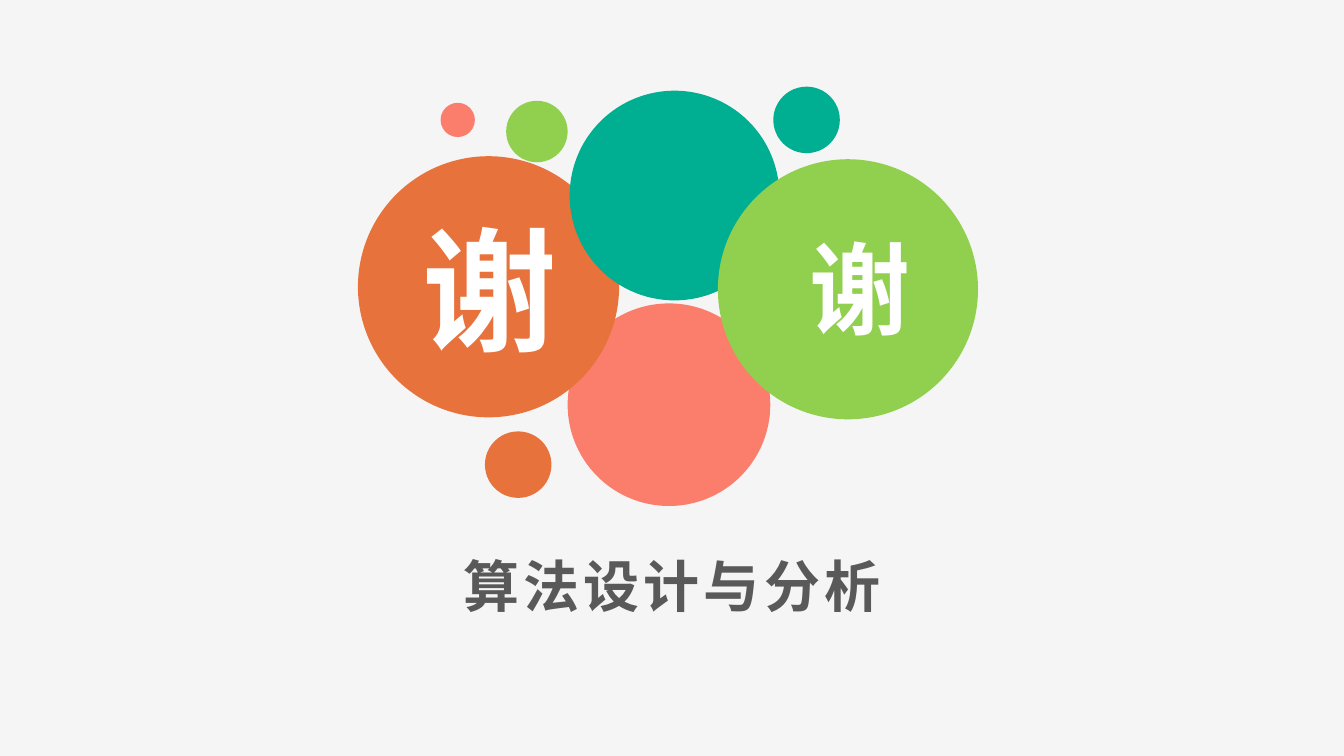
from dataclasses import dataclass

from lxml.etree import SubElement
from pptx import Presentation
from pptx.dml.color import RGBColor
from pptx.enum.shapes import MSO_SHAPE
from pptx.enum.text import MSO_ANCHOR, MSO_AUTO_SIZE, PP_ALIGN
from pptx.oxml.ns import qn
from pptx.util import Inches, Pt


@dataclass(frozen=True)
class Theme:
    font: str = "Noto Sans CJK SC"
    paper: str = "F5F5F5"
    ink: str = "595959"
    white: str = "FFFFFF"
    coral: str = "FB7E6C"
    orange: str = "E8723B"
    teal: str = "00AF92"
    green: str = "90D04E"
    title_size: int = 40
    small_thanks: int = 72
    large_thanks: int = 96


THEME = Theme()

# Left, top, diameter within the cluster, from back to front
BUBBLES = [
    (2.08, 2.15, 2.01, THEME.coral),
    (0, 0.69, 2.59, THEME.orange),
    (2.10, 0.04, 2.08, THEME.teal),
    (3.57, 0.72, 2.58, THEME.green),
    (1.26, 3.42, 0.66, THEME.orange),
    (4.12, 0, 0.66, THEME.teal),
    (1.47, 0.14, 0.61, THEME.green),
    (0.82, 0.16, 0.34, THEME.coral),
]

# Left, top, width, height within the cluster, and type size
THANKS = [
    (0.53, 1.13, 1.55, 1.72, THEME.large_thanks),
    (4.37, 1.33, 1.21, 1.31, THEME.small_thanks),
]


def rgb(value):
    return RGBColor.from_string(value)


def write_text(shape, text, *, size, color, wrap=True, spacing=0):
    frame = shape.text_frame
    frame.word_wrap = wrap
    frame.auto_size = MSO_AUTO_SIZE.NONE
    frame.vertical_anchor = MSO_ANCHOR.MIDDLE
    paragraph = frame.paragraphs[0]
    paragraph.alignment = PP_ALIGN.CENTER
    run = paragraph.add_run()
    run.text = text
    run.font.size = Pt(size)
    run.font.bold = True
    run.font.color.rgb = rgb(color)
    run.font.name = THEME.font
    # East Asian typeface and letter spacing
    properties = run.font._element
    SubElement(properties, qn("a:ea")).set("typeface", THEME.font)
    if spacing:
        properties.set("spc", str(spacing * 100))


def add_bubble_cluster(slide, left, top):
    # Coloured circles
    for x, y, diameter, color in BUBBLES:
        bubble = slide.shapes.add_shape(
            MSO_SHAPE.OVAL, Inches(left + x), Inches(top + y),
            Inches(diameter), Inches(diameter))
        bubble.shadow.inherit = False
        bubble.fill.solid()
        bubble.fill.fore_color.rgb = rgb(color)
        bubble.line.fill.background()

    # One character of thanks on each large side circle
    for x, y, width, height, size in THANKS:
        thanks = slide.shapes.add_textbox(
            Inches(left + x), Inches(top + y), Inches(width), Inches(height))
        write_text(thanks, "谢", size=size, color=THEME.white, wrap=False)


def place_course_title(slide, left, top, width, height):
    title = slide.shapes.title
    title.left, title.top = Inches(left), Inches(top)
    title.width, title.height = Inches(width), Inches(height)
    write_text(title, "算法设计与分析", size=THEME.title_size,
               color=THEME.ink, spacing=3)


def build_closing_slide(deck):
    slide = deck.slides.add_slide(deck.slide_layouts[5])
    slide.background.fill.solid()
    slide.background.fill.fore_color.rgb = rgb(THEME.paper)
    add_bubble_cluster(slide, 3.55, 0.86)
    place_course_title(slide, 2.94, 5.42, 7.45, 0.77)


def main():
    deck = Presentation()
    deck.slide_width, deck.slide_height = Inches(13.33), Inches(7.5)
    build_closing_slide(deck)
    deck.save("out.pptx")


if __name__ == "__main__":
    main()
